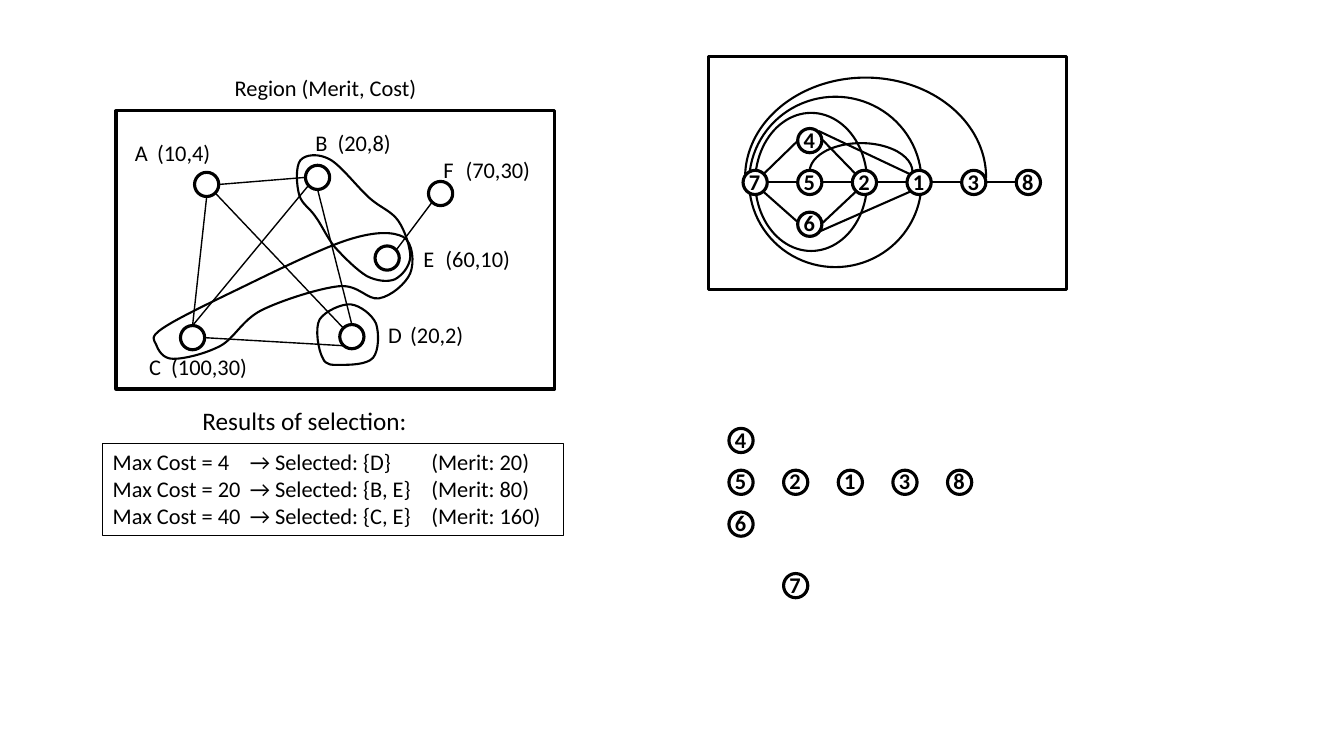
from lxml.etree import SubElement
from pptx import Presentation
from pptx.dml.color import RGBColor
from pptx.enum.shapes import MSO_CONNECTOR as Link, MSO_SHAPE as Form
from pptx.enum.text import MSO_AUTO_SIZE as Fit, MSO_ANCHOR as Anchor
from pptx.oxml.ns import qn
from pptx.util import Inches, Pt

BLACK = RGBColor(0, 0, 0)
WHITE = RGBColor(255, 255, 255)
COLUMNS, ROWS = 133.3, 75
NODE = 2.4
STEP_X, STEP_Y = 5.42, 4.15


class Board:
    """Draws styled elements on a slide, measured in columns and rows of a grid."""

    def __init__(self, deck):
        self.slide = deck.slides.add_slide(deck.slide_layouts[6])
        self.shapes = self.slide.shapes
        self.width, self.height = deck.slide_width, deck.slide_height
        self.font = {"name": "Calibri", "size": Pt(16), "bold": False}

    def start_group(self):
        self.shapes = self.slide.shapes.add_group_shape().shapes

    def end_group(self):
        self.shapes = self.slide.shapes

    def place(self, *lengths):
        units = (self.width / COLUMNS, self.height / ROWS)
        return [round(length * units[i % 2]) for i, length in enumerate(lengths)]

    def stroke(self, item, weight):
        item.line.color.rgb = BLACK
        item.line.width = Pt(weight)

    def outline(self, item, weight, fill=None):
        item.shadow.inherit = False
        if fill is None:
            item.fill.background()
        else:
            item.fill.solid()
            item.fill.fore_color.rgb = fill
        self.stroke(item, weight)

    def shape(self, form, at, weight, fill=None, angles=()):
        item = self.shapes.add_shape(form, *self.place(*at))
        for index, angle in enumerate(angles):
            item.adjustments[index] = angle
        self.outline(item, weight, fill)

    def node(self, left, top, fill=None):
        self.shape(Form.OVAL, (left, top, NODE, NODE), 2.25, fill)

    def link(self, ends, weight):
        item = self.shapes.add_connector(Link.STRAIGHT, *self.place(*ends))
        self.stroke(item, weight)
        SubElement(item.element.spPr, qn("a:effectLst"))

    def text(self, at, lines, stops=(), wrap=True, border=None, **changes):
        box = self.shapes.add_textbox(*self.place(*at))
        if border:
            box.fill.background()
            self.stroke(box, border)
        frame = box.text_frame
        frame.word_wrap = wrap
        frame.auto_size = Fit.SHAPE_TO_FIT_TEXT
        frame.vertical_anchor = Anchor.TOP
        for index, line in enumerate(lines):
            para = frame.add_paragraph() if index else frame.paragraphs[0]
            if stops:
                tabs = SubElement(para._p.get_or_add_pPr(), qn("a:tabLst"))
                for stop in stops:
                    position = self.place(stop)[0]
                    SubElement(tabs, qn("a:tab"), pos=str(position), algn="l")
            span = para.add_run()
            span.text = line
            for name, value in {**self.font, **changes}.items():
                setattr(span.font, name, value)
            span.font.color.rgb = BLACK

    def closed_curve(self, points, weight=1.5):
        corners = [tuple(self.place(*point)) for point in points]
        builder = self.shapes.build_freeform(*corners[0])
        builder.add_line_segments(corners[1:], close=True)
        item = builder.convert_to_shape()
        contour = next(item.element.iter(qn("a:path")))
        segments = contour.findall(qn("a:lnTo"))
        for start in range(0, len(segments), 3):
            curve = SubElement(contour, qn("a:cubicBezTo"))
            segments[start].addprevious(curve)
            for segment in segments[start:start + 3]:
                curve.append(segment[0])
                contour.remove(segment)
        self.outline(item, weight)

    def graph_nodes(self, origin, cells, filled=""):
        for number, (column, row) in cells.items():
            left, top = origin[0] + column * STEP_X, origin[1] + row * STEP_Y
            self.node(left, top, WHITE if number in filled else None)

    def graph_numbers(self, origin, cells):
        for number, (column, row) in cells.items():
            left, top = origin[0] + column * STEP_X, origin[1] + row * STEP_Y
            self.text((left - 0.4, top - 0.75, 4.7, 3.7), [number], bold=True)


REGIONS = [
    ("A\t(10,4)", (19.3, 17.1), (12.4, 13.3, 12.9, 3.7)),
    ("B\t(20,8)", (30.3, 16.4), (30.3, 12.3, 12.1, 3.7)),
    ("C\t(100,30)", (17.9, 32.3), (13.8, 34.5, 14, 3.7)),
    ("D\t(20,2)", (33.7, 32.2), (37.5, 31.4, 13.2, 3.7)),
    ("E\t(60,10)", (37.2, 24.4), (41, 23.8, 10.8, 3.7)),
    ("F\t(70,30)", (42.5, 18), (43, 15, 12, 3.7)),
]
REGION_LINKS = [
    (31.5, 18.8, 34.9, 32.2), (21.7, 18.3, 30.3, 17.6), (42.9, 20, 39.3, 24.8),
    (34.1, 34.3, 20.3, 33.5), (20.5, 19.5, 19.1, 32.3), (30.6, 18.4, 19.1, 32.3),
    (21.3, 19.1, 34.1, 32.6),
]
SELECTION_C_E = [
    (16.1, 32.6), (17.4, 31.7), (20.3, 30.3), (23.4, 28.8), (26.5, 27.3), (31.7, 24.7),
    (34.5, 23.8), (37.3, 22.9), (39, 23), (40, 23.5), (41, 24.1), (41.1, 26.1),
    (40.7, 27.1), (40.3, 28.1), (38.8, 29.4), (37.6, 29.6), (36.4, 29.8), (35.6, 28.2),
    (33.6, 28.4), (31.7, 28.6), (27.9, 29.8), (25.9, 30.8), (24, 31.8), (23.3, 33.5),
    (21.9, 34.3), (20.4, 35.1), (18.3, 35.6), (17.2, 35.6), (16.1, 35.6), (15.7, 34.7),
    (15.5, 34.2), (15.3, 33.7), (14.8, 33.5), (16.1, 32.6),
]
SELECTION_D = [
    (32, 35.5), (32.3, 36.3), (33, 36.2), (33.8, 36.2), (34.6, 36.2), (36.4, 36.2),
    (37, 35.5), (37.6, 34.8), (37.6, 33), (37.3, 32.1), (36.9, 31.2), (35.7, 30.3),
    (34.8, 30.2), (33.9, 30.1), (32.2, 30.9), (31.7, 31.7), (31.2, 32.6), (31.6, 34.8),
    (32, 35.5),
]
SELECTION_B_E = [
    (31.3, 21.5), (31.9, 22.3), (32.4, 23.5), (33.2, 24.5), (34.1, 25.5), (35.4, 26.8),
    (36.4, 27.4), (37.4, 27.9), (38.5, 28), (39.2, 27.7), (39.9, 27.3), (40.6, 26.5),
    (40.7, 25.5), (40.7, 24.6), (40.2, 22.9), (39.5, 21.9), (38.8, 20.9), (37.7, 20.6),
    (36.6, 19.6), (35.4, 18.5), (33.8, 16.4), (32.7, 15.8), (31.6, 15.2), (30.3, 15.3),
    (29.8, 15.9), (29.3, 16.5), (29.4, 18.4), (29.7, 19.4), (30, 20.3), (30.7, 20.6),
    (31.3, 21.5),
]
RESULTS = [
    "Max Cost = 4\t→ Selected: {D}\t(Merit: 20)",
    "Max Cost = 20\t→ Selected: {B, E}\t(Merit: 80)",
    "Max Cost = 40\t→ Selected: {C, E}\t(Merit: 160)",
]
LINKED_ORIGIN, LOOSE_ORIGIN = (73.7, 12.75), (72.3, 42.5)
LINKED_CELLS = {"7": (0, 1), "4": (1, 0), "5": (1, 1), "6": (1, 2),
                "2": (2, 1), "1": (3, 1), "3": (4, 1), "8": (5, 1)}
LOOSE_CELLS = {"4": (0, 0), "5": (0, 1), "6": (0, 2), "2": (1, 1),
               "1": (2, 1), "3": (3, 1), "8": (4, 1), "7": (1, 3.47)}
DIAGONALS = [
    (81.6, 13.9, 84.9, 17.3), (81.6, 22.1, 84.9, 19), (79.2, 13.9, 75.7, 17.3),
    (79.2, 22.1, 75.7, 19), (81.2, 13, 90.3, 17.3), (81.2, 23, 90.3, 19),
]


def draw_regions(board):
    board.text((22.3, 6.9, 20.3, 3.7), ["Region (Merit, Cost)"], wrap=False)
    board.shape(Form.RECTANGLE, (11.5, 11, 43.5, 27.6), 2.25)
    for label, spot, at in REGIONS:
        board.node(*spot)
        board.text(at, [label], stops=[2.2])
    for ends in REGION_LINKS:
        board.link(ends, 1)
    for selection in (SELECTION_C_E, SELECTION_D, SELECTION_B_E):
        board.closed_curve(selection)
    board.text((19.1, 39.7, 22.5, 4), ["Results of selection:"], wrap=False, size=Pt(18))
    board.text((10.2, 44, 45.7, 9.1), RESULTS, stops=[13.6, 31.6], border=0.75)


def draw_linked_graph(board):
    board.start_group()
    board.shape(Form.OVAL, (74.3, 9.6, 17.1, 16.9), 1.5)
    board.shape(Form.OVAL, (74.9, 11.2, 11.1, 13.7), 1.5)
    board.graph_nodes(LINKED_ORIGIN, LINKED_CELLS, filled="127")
    for column in range(5):
        left = LINKED_ORIGIN[0] + column * STEP_X
        board.link((left + NODE, 18.1, left + STEP_X, 18.1), 1.5)
    for ends in DIAGONALS:
        board.link(ends, 1.5)
    board.shape(Form.ARC, (80.3, 14.2, 10.2, 5.7), 1.5, angles=(108.81, 0.43))
    board.shape(Form.ARC, (73.9, 7.7, 23.9, 19.8), 1.5, angles=(108.81, 0.14))
    board.graph_numbers(LINKED_ORIGIN, LINKED_CELLS)
    board.shape(Form.RECTANGLE, (70.3, 5.6, 35.5, 23.1), 2.25)
    board.end_group()


def main():
    deck = Presentation()
    deck.slide_width, deck.slide_height = Inches(13.33), Inches(7.5)
    board = Board(deck)
    draw_regions(board)
    board.graph_nodes(LOOSE_ORIGIN, LOOSE_CELLS)
    board.graph_numbers(LOOSE_ORIGIN, LOOSE_CELLS)
    draw_linked_graph(board)
    deck.save("out.pptx")


if __name__ == "__main__":
    main()
